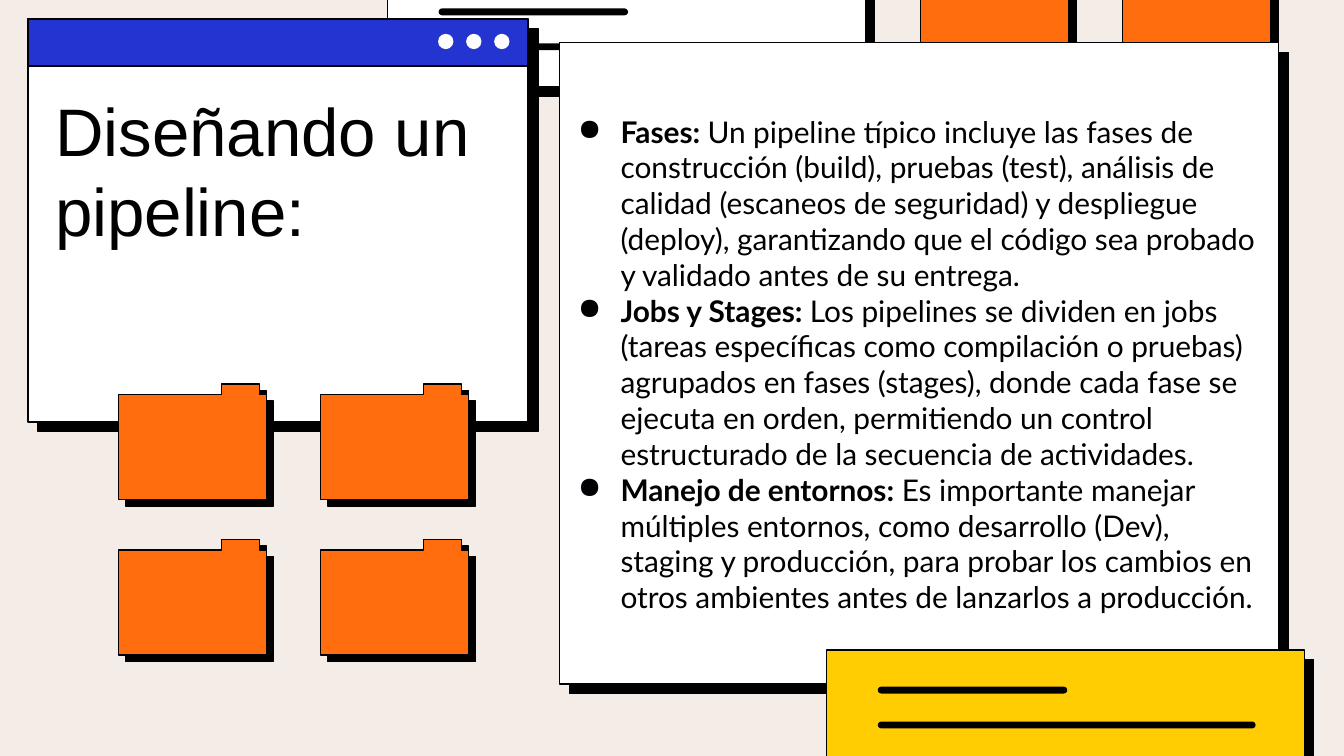
from lxml import etree
from pptx import Presentation
from pptx import util as u
from pptx.dml import color
from pptx.enum import shapes, text
from pptx.oxml import ns

SAND = color.RGBColor(0xF4, 0xEC, 0xE6)
INK = color.RGBColor(0x01, 0x01, 0x03)
WHITE = color.RGBColor(0xFF, 0xFF, 0xFF)
ORANGE = color.RGBColor(0xFF, 0x6D, 0x0F)
BLUE = color.RGBColor(0x24, 0x34, 0xD0)
YELLOW = color.RGBColor(0xFF, 0xCD, 0x01)
BLACK = color.RGBColor(0, 0, 0)

TITLE = "Diseñando un pipeline:"
POINTS = [
    ("Fases: ", "Un pipeline típico incluye las fases de construcción (build), pruebas (test), "
     "análisis de calidad (escaneos de seguridad) y despliegue (deploy), garantizando que el "
     "código sea probado y validado antes de su entrega."),
    ("Jobs y Stages: ", "Los pipelines se dividen en jobs (tareas específicas como compilación o "
     "pruebas) agrupados en fases (stages), donde cada fase se ejecuta en orden, permitiendo un "
     "control estructurado de la secuencia de actividades."),
    ("Manejo de entornos: ", "Es importante manejar múltiples entornos, como desarrollo (Dev), "
     "staging y producción, para probar los cambios en otros ambientes antes de lanzarlos a "
     "producción."),
]


def child(parent, tag, **attributes):
    return etree.SubElement(parent, ns.qn(tag), attributes)


def write(para, words, font="Lato", size=16, bold=False, ink=INK):
    span = para.add_run()
    span.text = words
    span.font.name = font
    span.font.size = u.Pt(size)
    span.font.bold = bold
    span.font.color.rgb = ink


def add_bullet(para):
    props = para._p.get_or_add_pPr()
    props.set("marL", str(u.Cm(1.27)))
    props.set("indent", str(-u.Cm(0.81)))
    child(child(props, "a:buClr"), "a:srgbClr", val=str(INK))
    child(props, "a:buChar", char="●")


class Desk:
    def __init__(self, page, outline=0.75):
        self.page = page
        self.outline = outline

    def paint(self, shape, fill, outlined=True, shadow=None):
        shape.shadow.inherit = False
        shape.fill.solid()
        shape.fill.fore_color.rgb = fill
        if outlined:
            shape.line.color.rgb = INK
            shape.line.width = u.Pt(self.outline)
        else:
            shape.line.fill.background()
        if shadow:
            distance, angle = shadow
            effects = shape._element.spPr.find(ns.qn("a:effectLst"))
            cast = child(effects, "a:outerShdw", blurRad="0", dist=str(u.Pt(distance)),
                         dir=str(angle * 60000), algn="bl", rotWithShape="0")
            child(cast, "a:srgbClr", val=str(BLACK))
        return shape

    def preset(self, kind, left, top, width, height, fill, **style):
        shape = self.page.shapes.add_shape(kind, u.Cm(left), u.Cm(top), u.Cm(width), u.Cm(height))
        return self.paint(shape, fill, **style)

    def card(self, left, top, width, height, fill, shadow=None):
        kind = shapes.MSO_SHAPE.RECTANGLE
        return self.preset(kind, left, top, width, height, fill, shadow=shadow)

    def note(self, left, top, fill):
        self.card(left, top, 9.04, 2.18, fill, (6.8, 46))
        for drop, width in ((0.69, 3.58), (1.35, 7.14)):
            stroke = self.preset(shapes.MSO_SHAPE.ROUNDED_RECTANGLE, left + 0.97, top + drop,
                                 width, 0.13, INK, outlined=False)
            stroke.adjustments[0] = 0.5

    def folder(self, left, top):
        corners = [(1.95, 0), (1.95, 0.2), (0, 0.2), (0, 2.18), (2.8, 2.18),
                   (2.8, 0.2), (2.66, 0.2), (2.66, 0)]
        points = [(u.Cm(left + x), u.Cm(top + y)) for x, y in corners]
        outline = self.page.shapes.build_freeform(*points[0])
        outline.add_line_segments(points[1:])
        self.paint(outline.convert_to_shape(), ORANGE, shadow=(5.2, 43))

    def window(self, left, top, width, height):
        self.card(left, top, width, height, WHITE, (7.5, 44))
        self.card(left, top, width, 0.89, BLUE)
        for place in range(3):
            self.preset(shapes.MSO_SHAPE.OVAL, left + 7.75 + place * 0.53, top + 0.28,
                        0.29, 0.29, WHITE, outlined=False)

    def frame(self, box, anchor):
        frame = box.text_frame
        frame.word_wrap = True
        frame.auto_size = text.MSO_AUTO_SIZE.NONE
        frame.vertical_anchor = anchor
        frame.margin_left = frame.margin_right = u.Cm(0.25)
        frame.margin_top = frame.margin_bottom = u.Cm(0.25)
        return frame

    def title(self, words, left, top, width, height):
        box = self.page.shapes.title
        box.left, box.top, box.width, box.height = map(u.Cm, (left, top, width, height))
        box.element.getparent().append(box.element)
        para = self.frame(box, text.MSO_ANCHOR.BOTTOM).paragraphs[0]
        para.alignment = text.PP_ALIGN.LEFT
        write(para, words, font="Arial", size=36)

    def bullets(self, points, left, top, width, height):
        box = self.page.shapes.add_textbox(*map(u.Cm, (left, top, width, height)))
        frame = self.frame(box, text.MSO_ANCHOR.MIDDLE)
        for place, (lead, words) in enumerate(points):
            para = frame.add_paragraph() if place else frame.paragraphs[0]
            add_bullet(para)
            write(para, lead, bold=True)
            write(para, words)


def main():
    deck = Presentation()
    deck.slide_width, deck.slide_height = u.Cm(25.4), u.Cm(14.29)
    page = deck.slides.add_slide(deck.slide_layouts[5])
    page.background.fill.solid()
    page.background.fill.fore_color.rgb = SAND

    desk = Desk(page)
    desk.note(7.32, -0.53, WHITE)
    for left in (17.4, 21.22):
        desk.folder(left, -0.53)
    desk.card(10.57, 0.81, 13.59, 12.12, WHITE, (7.5, 44))
    desk.bullets(POINTS, 10.21, 0.1, 13.87, 13.56)
    desk.window(0.53, 0.36, 9.45, 7.62)
    desk.title(TITLE, 0.79, 1.4, 9.19, 3.58)
    for left in (2.24, 6.06):
        for top in (7.26, 10.2):
            desk.folder(left, top)
    desk.note(15.62, 12.29, YELLOW)
    deck.save("out.pptx")


if __name__ == "__main__":
    main()
